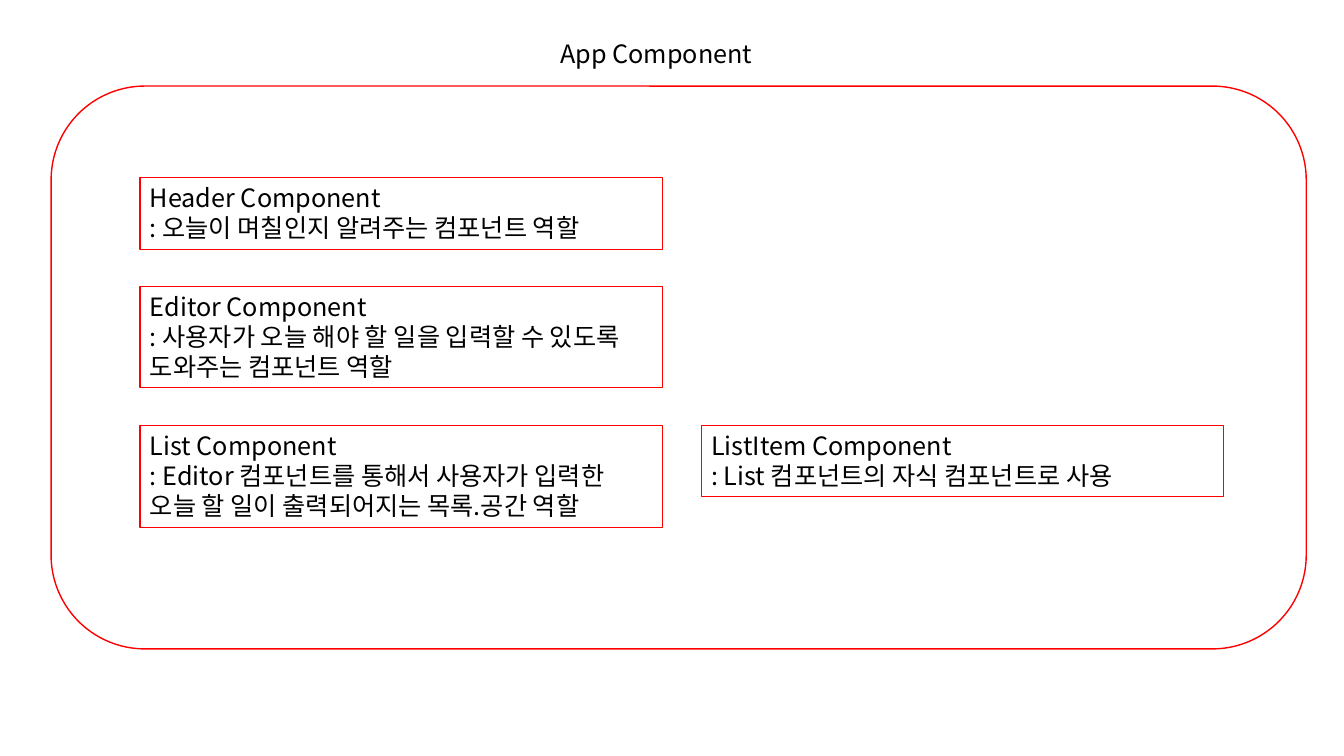
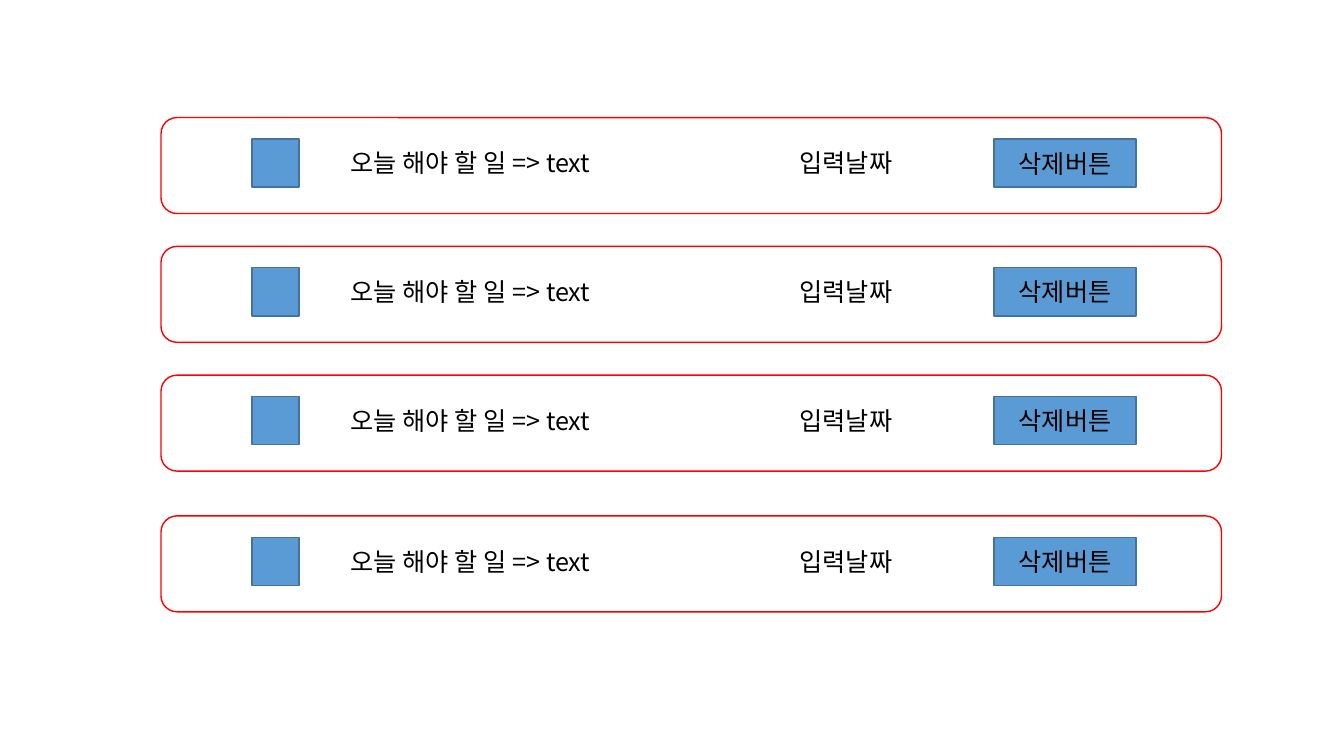
from lxml import etree
from pptx import Presentation
from pptx.dml.color import RGBColor
from pptx.enum.shapes import MSO_SHAPE as Preset
from pptx.enum.text import MSO_ANCHOR as Anchor, MSO_AUTO_SIZE as AutoSize, PP_ALIGN as Align
from pptx.oxml.ns import qn
from pptx.util import Pt

COLORS = {"outline": "FF0000", "text": "000000", "control": "5B9BD5", "control_edge": "43739E"}
FONT = "Noto Sans CJK KR"
FONT_FORMAT = {"name": FONT, "size": Pt(18), "bold": False}
FRAME_FORMAT = {
    "word_wrap": True,
    "margin_left": Pt(7.2),
    "margin_right": Pt(7.2),
    "margin_top": Pt(3.6),
    "margin_bottom": Pt(3.6),
}


def write(shape, lines, align=Align.LEFT, anchor=Anchor.TOP, fit=AutoSize.SHAPE_TO_FIT_TEXT):
    frame = shape.text_frame
    for name, value in {**FRAME_FORMAT, "vertical_anchor": anchor, "auto_size": fit}.items():
        setattr(frame, name, value)
    frame.text = "\n".join(lines)
    for paragraph in frame.paragraphs:
        paragraph.alignment = align
        paragraph.line_spacing = Pt(21.5)
        for run in paragraph.runs:
            for name, value in FONT_FORMAT.items():
                setattr(run.font, name, value)
            run.font.color.rgb = RGBColor.from_string(COLORS["text"])
            etree.SubElement(run.font._element, qn("a:ea")).set("typeface", FONT)


def draw(shapes, preset, box, edge, weight=1, fill=None):
    shape = shapes.add_shape(preset, *map(Pt, box))
    shape.shadow.inherit = False
    shape.line.color.rgb = RGBColor.from_string(COLORS[edge])
    shape.line.width = Pt(weight)
    if fill:
        shape.fill.solid()
        shape.fill.fore_color.rgb = RGBColor.from_string(COLORS[fill])
    else:
        shape.fill.background()
    return shape


deck = Presentation()
deck.slide_width, deck.slide_height = Pt(960), Pt(540)
title_only, blank = deck.slide_layouts[5], deck.slide_layouts[6]

structure = deck.slides.add_slide(title_only)
app_title = structure.shapes.title
title_place = {"left": 393, "top": 24, "width": 184, "height": 29}
for name, value in title_place.items():
    setattr(app_title, name, Pt(value))
write(app_title, ["App Component"])

left_column, right_column = 100, 501
components = [
    (left_column, 127, 51, "Header Component", ": 오늘이 며칠인지 알려주는 컴포넌트 역할"),
    (left_column, 204.5, 72.5, "Editor Component",
     ": 사용자가 오늘 해야 할 일을 입력할 수 있도록 도와주는 컴포넌트 역할"),
    (left_column, 304, 72.5, "List Component",
     ": Editor 컴포넌트를 통해서 사용자가 입력한 오늘 할 일이 출력되어지는 목록.공간 역할"),
    (right_column, 304, 51, "ListItem Component", ": List 컴포넌트의 자식 컴포넌트로 사용"),
]
for left, top, height, heading, role in components:
    component = draw(structure.shapes, Preset.RECTANGLE, (left, top, 373, height), "outline", 0.75)
    write(component, [heading, role])
draw(structure.shapes, Preset.ROUNDED_RECTANGLE, (36.5, 61.5, 896.5, 402), "outline")

todo_list = deck.slides.add_slide(blank)
row_tops = [84, 176, 268, 368.5]
labels = [(243.5, 274.5, "오늘 해야 할 일 => text"), (564, 98, "입력날짜")]
for top in row_tops:
    item = todo_list.shapes.add_group_shape().shapes
    draw(item, Preset.RECTANGLE, (180, top + 15.25, 33.5, 34.5), "control_edge", fill="control")
    for left, width, label in labels:
        write(item.add_textbox(*map(Pt, (left, top + 18, width, 29))), [label])
    delete_button = draw(item, Preset.RECTANGLE, (710, top + 15.25, 101.5, 34.5),
                         "control_edge", fill="control")
    write(delete_button, ["삭제버튼"], Align.CENTER, Anchor.MIDDLE, AutoSize.NONE)
    draw(item, Preset.ROUNDED_RECTANGLE, (115, top, 757.5, 68.5), "outline")

deck.save("out.pptx")
